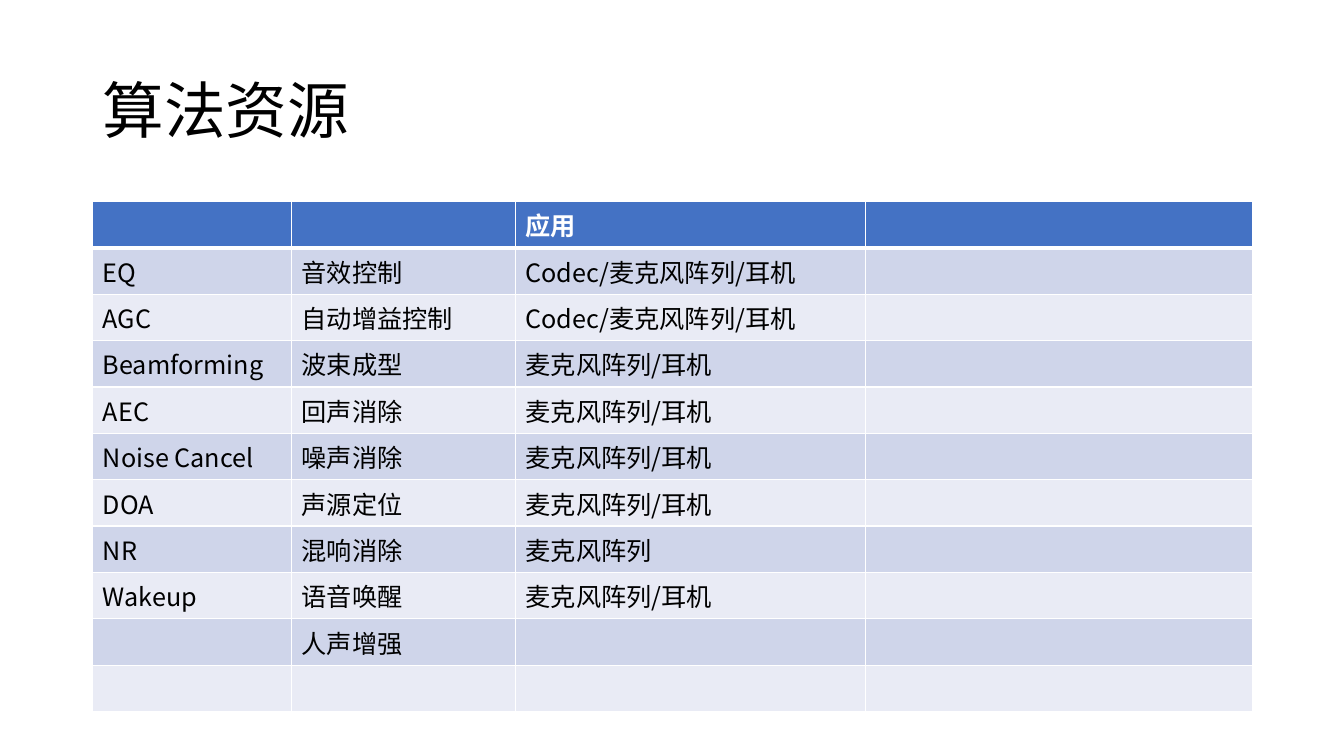
from pptx import Presentation, util as u
from pptx.dml.color import RGBColor
from pptx.enum import text
from pptx.oxml import parse_xml
from pptx.oxml.ns import nsdecls, qn

FONT = "Noto Sans CJK SC"
WHITE, BLACK, HEADER = "FFFFFF", "000000", "4472C4"
BANDS = ("CFD5EA", "E9EBF5")
MIC_HEADSET = "麦克风阵列/耳机"
ALGORITHMS = [
    ("", "", "应用", ""),
    ("EQ", "音效控制", "Codec/" + MIC_HEADSET, ""),
    ("AGC", "自动增益控制", "Codec/" + MIC_HEADSET, ""),
    ("Beamforming", "波束成型", MIC_HEADSET, ""),
    ("AEC", "回声消除", MIC_HEADSET, ""),
    ("Noise Cancel", "噪声消除", MIC_HEADSET, ""),
    ("DOA", "声源定位", MIC_HEADSET, ""),
    ("NR", "混响消除", "麦克风阵列", ""),
    ("Wakeup", "语音唤醒", MIC_HEADSET, ""),
    ("", "人声增强", "", ""),
    ("", "", "", ""),
]
COLUMN_WIDTHS = (1.97, 2.22, 3.47, 3.83)
ROW_HEIGHT = 0.46


def color(hex_code):
    return RGBColor.from_string(hex_code)


def add_run(paragraph, words, size, hex_code, bold=False):
    run = paragraph.add_run()
    run.text = words
    font = run.font
    font.size, font.bold, font.name = u.Pt(size), bold, FONT
    font.color.rgb = color(hex_code)
    east_asian = parse_xml(f'<a:ea {nsdecls("a")} typeface="{FONT}"/>')
    run._r.get_or_add_rPr().find(qn("a:latin")).addnext(east_asian)


def set_borders(cell, widths):
    """Draw white borders; widths maps L, R, T and B to points."""
    properties = cell._tc.get_or_add_tcPr()
    for position, (side, width) in enumerate(widths.items()):
        properties.insert(position, parse_xml(
            f'<a:ln{side} {nsdecls("a")} w="{u.Pt(width)}"><a:solidFill>'
            f'<a:srgbClr val="{WHITE}"/></a:solidFill></a:ln{side}>'))


def add_title(slide, left, top, width, height):
    frame = slide.shapes.add_textbox(left, top, width, height).text_frame
    frame.word_wrap = True
    frame.vertical_anchor = text.MSO_ANCHOR.MIDDLE
    heading = frame.paragraphs[0]
    heading.line_spacing = 0.9
    add_run(heading, "算法资源", 44, BLACK)


def add_algorithm_table(slide, left, top, width):
    row_count = len(ALGORITHMS)
    table = slide.shapes.add_table(
        row_count, len(COLUMN_WIDTHS), left, top, width,
        u.Inches(ROW_HEIGHT * row_count)).table
    for column, share in zip(table.columns, COLUMN_WIDTHS):
        column.width = int(width * share / sum(COLUMN_WIDTHS))
    for r, entries in enumerate(ALGORITHMS):
        table.rows[r].height = u.Inches(ROW_HEIGHT)
        is_header = r == 0
        fill = HEADER if is_header else BANDS[(r - 1) % 2]
        for c, entry in enumerate(entries):
            cell = table.cell(r, c)
            cell.fill.solid()
            cell.fill.fore_color.rgb = color(fill)
            set_borders(cell, {"L": 1, "R": 1, "T": 3 if r == 1 else 1,
                               "B": 3 if is_header else 1})
            if entry:
                add_run(cell.text_frame.paragraphs[0], entry, 18,
                        WHITE if is_header else BLACK, is_header)


def main():
    deck = Presentation()
    deck.slide_width, deck.slide_height = u.Inches(13.33), u.Inches(7.5)
    slide = deck.slides.add_slide(deck.slide_layouts[6])
    left, width = u.Inches(0.92), u.Inches(11.5)

    # Heading
    add_title(slide, left, u.Inches(0.4), width, u.Inches(1.45))
    # Algorithms and where they apply
    add_algorithm_table(slide, left, u.Inches(2), width)

    deck.save("out.pptx")


if __name__ == "__main__":
    main()
